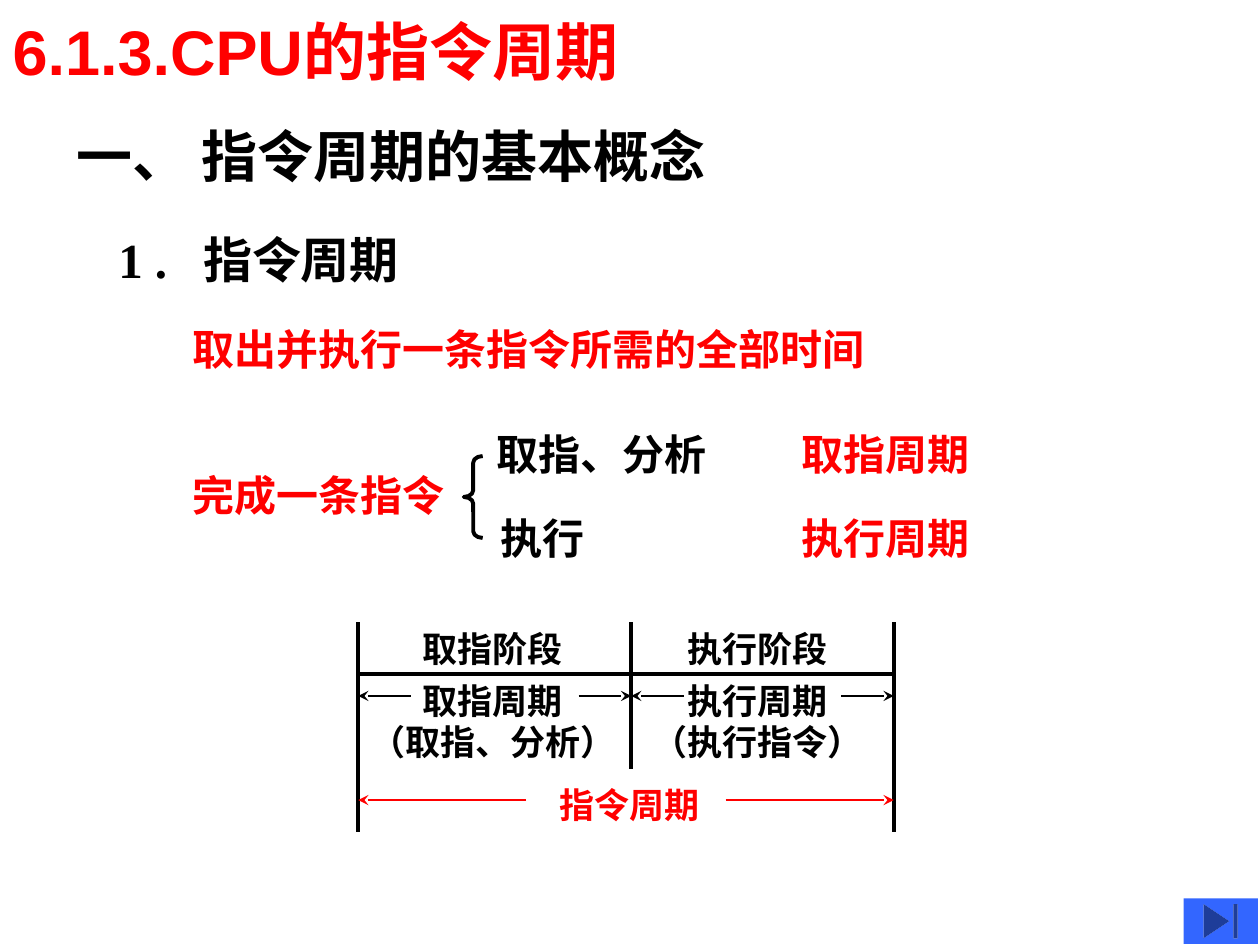
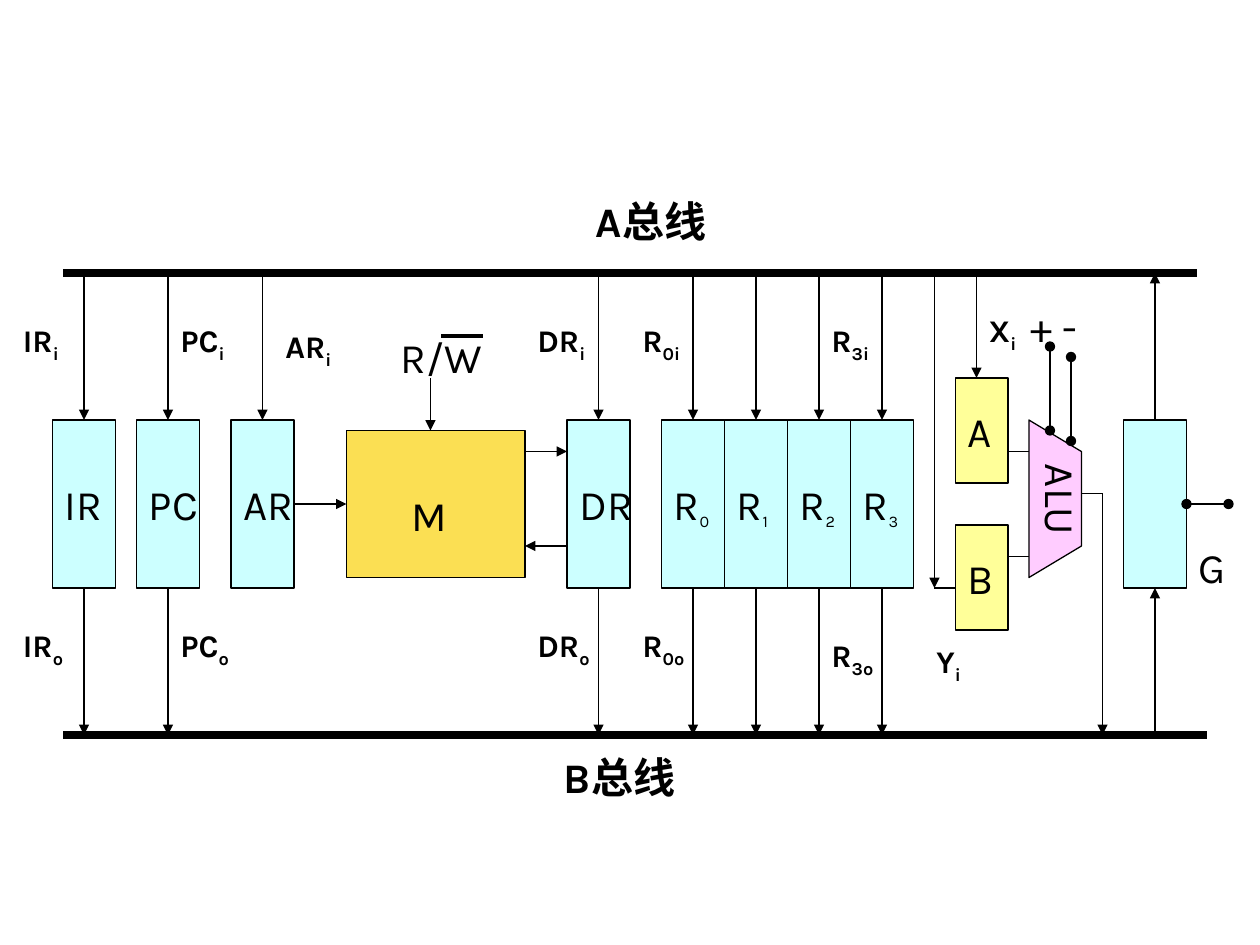
from dataclasses import dataclass
from typing import Any

from lxml import etree
from pptx import Presentation
from pptx.dml.color import RGBColor
from pptx.enum.shapes import MSO_CONNECTOR, MSO_SHAPE
from pptx.enum.text import MSO_ANCHOR, MSO_AUTO_SIZE, PP_ALIGN
from pptx.oxml.ns import qn
from pptx.util import Pt

STRAIGHT = MSO_CONNECTOR.STRAIGHT
RECTANGLE = MSO_SHAPE.RECTANGLE
LEFT_BRACE = MSO_SHAPE.LEFT_BRACE
MANUAL_OPERATION = MSO_SHAPE.FLOWCHART_MANUAL_OPERATION
END_BUTTON = MSO_SHAPE.ACTION_BUTTON_END
MIDDLE = MSO_ANCHOR.MIDDLE
LEFT, CENTER = PP_ALIGN.LEFT, PP_ALIGN.CENTER
NO_AUTOFIT = MSO_AUTO_SIZE.NONE

COLORS = {
    "black": "000000", "red": "FF0000", "button": "3366FF", "register": "CCFFFF",
    "memory": "FBDF53", "operand": "FFFF99", "alu": "FFCCFF",
}
TITLE_FONT, OUTLINE_FONT, DIAGRAM_FONT = "Arial", "Times New Roman", "Karla"
TITLE_ONLY, BLANK = 5, 6


def rgb(color):
    """Return the named colour of the palette."""
    return RGBColor.from_string(COLORS[color])


def format_font(font, name, size, color="black", bold=False):
    """Set the typeface, size, colour and weight of a font."""
    font.name, font.size, font.bold = name, Pt(size), bold
    font.color.rgb = rgb(color)


@dataclass
class Region:
    """A part of a slide whose contents are placed from its top left corner."""

    slide: Any
    left: float
    top: float

    def place(self, x, y):
        """Turn a point of the region into a point of the slide."""
        return Pt(round(self.left + x, 2)), Pt(round(self.top + y, 2))

    def line(self, start, end, color="black", width=0.75, head=None, tail=None):
        """Draw a straight line with optional ends."""
        connector = self.slide.shapes.add_connector(
            STRAIGHT, *self.place(*start), *self.place(*end))
        connector.line.color.rgb = rgb(color)
        connector.line.width = Pt(width)
        properties = connector._element.spPr
        outline = properties.find(qn("a:ln"))
        for tag, kind in (("a:headEnd", head), ("a:tailEnd", tail)):
            if kind:
                etree.SubElement(outline, qn(tag)).set("type", kind)
        etree.SubElement(properties, qn("a:effectLst"))

    def arrow(self, start, end, color="black", tail="triangle"):
        """Draw a thin arrow that points at its end."""
        self.line(start, end, color, tail=tail)

    def shape(self, kind, x, y, width, height, fill=None, line_width=0.75):
        """Add a preset shape; no fill or no line width leaves that part out."""
        shape = self.slide.shapes.add_shape(kind, *self.place(x, y), Pt(width), Pt(height))
        shape.shadow.inherit = False
        if fill:
            shape.fill.solid()
            shape.fill.fore_color.rgb = rgb(fill)
        else:
            shape.fill.background()
        if line_width:
            shape.line.color.rgb = rgb("black")
            shape.line.width = Pt(line_width)
        else:
            shape.line.fill.background()
        return shape

    def text(self, text, x, y, width, height, name, size, color="black", bold=False,
             align=LEFT, wrap=True, subscript=""):
        """Add a text box of one paragraph, with an optional subscript."""
        box = self.slide.shapes.add_textbox(*self.place(x, y), Pt(width), Pt(height))
        box.text_frame.word_wrap = wrap
        paragraph = box.text_frame.paragraphs[0]
        paragraph.text = text
        paragraph.alignment = align
        format_font(paragraph.runs[0].font, name, size, color, bold)
        if subscript:
            run = paragraph.add_run()
            run.text = subscript
            format_font(run.font, name, size if bold else 16, color, bold)
            run.font._element.set("baseline", "-25000")
        return box


def add_title(slide, text):
    """Fill and format the title placeholder across the top of the slide."""
    title = slide.shapes.title
    title.left, title.top, title.width, title.height = Pt(0), Pt(0), Pt(615), Pt(57.6)
    frame = title.text_frame
    frame.text = text
    frame.auto_size = NO_AUTOFIT
    frame.vertical_anchor = MIDDLE
    frame.paragraphs[0].alignment = LEFT
    format_font(frame.paragraphs[0].runs[0].font, TITLE_FONT, 36, "red", True)


def add_headings(slide, left, top):
    """Add the section heading, the numbered heading and the definition."""
    region = Region(slide, left, top)
    headings = [
        ("一、 指令周期的基本概念", 0, 0, 32, "black"),
        ("1 .\t指令周期", 23.8, 61.2, 28, "black"),
        ("取出并执行一条指令所需的全部时间", 66.2, 115.2, 24, "red"),
    ]
    for text, x, y, size, color in headings:
        box = region.text(text, x, y, 450, size * 1.4, OUTLINE_FONT, size, color, True)
        if "\t" in text:
            properties = box.text_frame.paragraphs[0]._p.get_or_add_pPr()
            properties.set("marL", str(Pt(48.5)))
            properties.set("indent", str(Pt(-48.5)))


def add_steps(slide, left, top):
    """Add the brace that splits an instruction into its steps and cycles."""
    region = Region(slide, left, top)
    brace = region.shape(LEFT_BRACE, 162, 19.4, 10.8, 46.8, line_width=2.25)
    brace.adjustments[0], brace.adjustments[1] = 0.35, 0.5
    labels = [
        ("完成一条指令", 0, 23.8, "red"),
        ("取指、分析", 173.5, 0, "black"), ("取指周期", 347.8, 0, "red"),
        ("执行", 175.7, 48.2, "black"), ("执行周期", 347.8, 48.2, "red"),
    ]
    for text, x, y, color in labels:
        region.text(text, x, y, 200, 36, OUTLINE_FONT, 24, color, True)


def add_timeline(slide, left, top):
    """Add the fetch and execute phases on a time axis."""
    region = Region(slide, left, top)
    middle, end, axis, phase_row, total_row = 156, 306, 29.5, 42, 101.5
    region.line((0, axis), (end, axis), width=2.25)
    for x, bottom in ((0, 119.5), (middle, 83.5), (end, 119.5)):
        region.line((x, 0), (x, bottom), width=2.25)

    def add_span(start, stop, y, length, color):
        """Draw two arrows pointing outwards to the limits of a span."""
        for limit, inner in ((start, start + length), (stop, stop - length)):
            region.arrow((inner, y), (limit, y), color, "stealth")

    def add_label(text, center, y, color="black"):
        """Centre a label on a position along the axis."""
        region.text(text, center - 78, y, 156, 31, OUTLINE_FONT, 20, color, True,
                    CENTER, wrap=False)

    phases = [
        (0, middle, 77, ("取指阶段", "取指周期", "（取指、分析）")),
        (middle, end, 228, ("执行阶段", "执行周期", "（执行指令）")),
    ]
    for start, stop, center, rows in phases:
        add_span(start, stop, phase_row, 30, "black")
        for text, y in zip(rows, (-0.5, 29, 52.5)):
            add_label(text, center, y)
    add_span(0, end, total_row, 96, "red")
    add_label("指令周期", 155, 88.5, "red")


def add_end_button(slide, left, top):
    """Add the button that leads to the end."""
    Region(slide, left, top).shape(END_BUTTON, 0, 0, 42.5, 26, "button", None)


def label_part(region, text, x, y, width=54, **options):
    """Write the name of a part of the data path."""
    return region.text(text, x, y, width, 36, DIAGRAM_FONT, 24, **options)


def add_buses(region, bottom):
    """Add both buses with their names."""
    buses = [("A总线", 0, 654, 240, -48), ("B总线", bottom, 660, 222, bottom + 6)]
    for name, y, end, name_x, name_y in buses:
        region.line((6, y), (end, y), width=4.5)
        label_part(region, name, name_x, name_y, 204, bold=True, align=CENTER)


def add_registers(region, bottom):
    """Add the registers and their arrows from bus A and to bus B."""
    registers = [("IR", "", 0), ("PC", "", 48), ("AR", "", 102), ("DR", "", 294)]
    registers += [("R", str(number), 348 + 36 * number) for number in range(4)]
    for name, number, x in registers:
        region.shape(RECTANGLE, x, 84, 36, 96, "register")
        region.arrow((x + 18, 0), (x + 18, 84))
        if name != "AR":
            region.arrow((x + 18, 180), (x + 18, bottom))
    for name, number, x in registers:
        label_part(region, name, x, 114, subscript=number)


def add_memory(region):
    """Add the memory with its address, data and control lines."""
    region.shape(RECTANGLE, 168, 90, 102, 84, "memory")
    label_part(region, "M", 198, 120, 78)
    label_part(region, "R/W", 192, 30, 90)
    region.line((222, 36), (246, 36), width=2.25)
    for start, end in (((216, 60), (216, 90)), ((138, 132), (168, 132)),
                       ((270, 102), (294, 102)), ((294, 156), (270, 156))):
        region.arrow(start, end)


def add_alu(region, bottom):
    """Add the operand registers and the arithmetic unit with its lines."""
    unit = region.shape(MANUAL_OPERATION, 528, 114, 90, 30, "alu")
    unit.rotation = 270
    for name, y, line_y in (("A", 60, 102), ("B", 144, 162)):
        region.shape(RECTANGLE, 516, y, 30, 60, "operand")
        label_part(region, name, 516, y + 12, 36)
        region.line((546, line_y), (558, line_y))
    name_box = region.text("ALU", 552, 102, 43.2, 60, DIAGRAM_FONT, 24)
    name_box.text_frame._txBody.bodyPr.set("vert", "eaVert")
    region.arrow((528, 0), (528, 60))
    region.arrow((504, 0), (504, 180))
    region.line((504, 180), (516, 180))
    region.line((588, 126), (600, 126))
    region.arrow((600, 126), (600, bottom))
    for x, y in ((570, 42), (582, 48)):
        region.line((x, y + 48), (x, y), head="oval", tail="oval")
    label_part(region, "+ -", 552, 12, 84)


def add_gate(region, bottom):
    """Add the gate that links bus B back to bus A."""
    region.shape(RECTANGLE, 612, 84, 36, 96, "register")
    region.arrow((630, 84), (630, 0))
    region.arrow((630, bottom), (630, 180))
    region.line((648, 132), (672, 132), head="oval", tail="oval")
    label_part(region, "G", 648, 150, 36)


def add_signals(region):
    """Name the control signals beside the arrows."""
    into, out = 24, 198
    signals = [
        ("IR", "i", -24, into), ("IR", "o", -24, out),
        ("PC", "i", 66, into), ("PC", "o", 66, out), ("AR", "i", 126, into + 3.6),
        ("DR", "i", 270, into), ("DR", "o", 270, out),
        ("R", "0i", 330, into), ("R", "0o", 330, out),
        ("R", "3i", 438, into), ("R", "3o", 438, out + 6),
        ("X", "i", 528, into - 6), ("Y", "i", 498, out + 9.6),
    ]
    for name, suffix, x, y in signals:
        region.text(name, x, y, 54, 28.8, DIAGRAM_FONT, 18, bold=True, subscript=suffix)


def add_data_path(slide, left, top, height):
    """Add the data path between the two buses."""
    region = Region(slide, left, top)
    add_buses(region, height)
    add_registers(region, height)
    add_memory(region)
    add_alu(region, height)
    add_gate(region, height)
    add_signals(region)


def main():
    """Build both slides and save the presentation."""
    presentation = Presentation()
    presentation.slide_width, presentation.slide_height = Pt(720), Pt(540)
    layouts = presentation.slide_layouts

    cycle_slide = presentation.slides.add_slide(layouts[TITLE_ONLY])
    add_title(cycle_slide, "6.1.3.CPU的指令周期")
    add_headings(cycle_slide, 36.7, 66.2)
    add_steps(cycle_slide, 103, 241.2)
    add_timeline(cycle_slide, 204.7, 355.7)
    add_end_button(cycle_slide, 676.3, 513.4)

    data_path_slide = presentation.slides.add_slide(layouts[BLANK])
    add_data_path(data_path_slide, 30, 156, 264)
    presentation.save("out.pptx")


if __name__ == "__main__":
    main()
